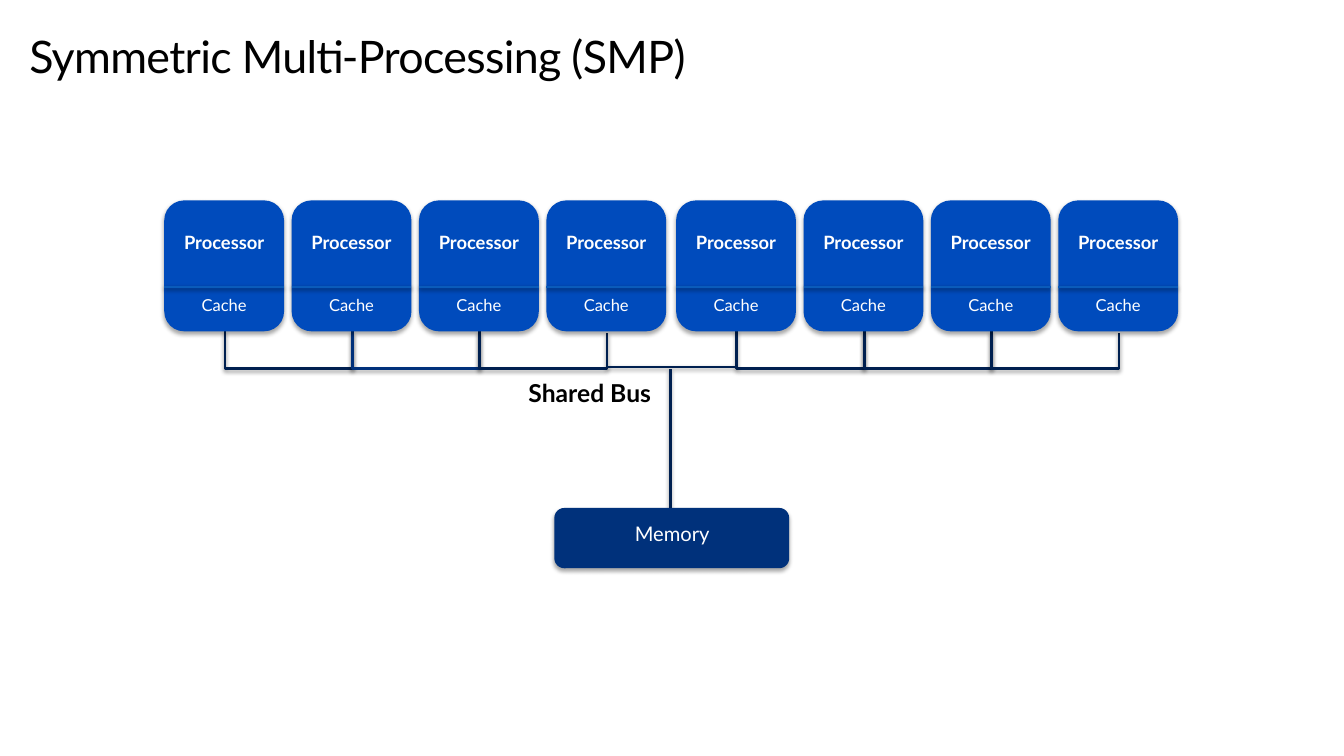
from dataclasses import dataclass

from lxml import etree
from pptx import Presentation
from pptx import util as u
from pptx.dml.color import RGBColor
from pptx.enum import shapes, text
from pptx.oxml import ns


@dataclass(frozen=True)
class Theme:
    """Colours, type sizes and shadow strengths of the slide."""
    font: str = "Lato"
    ink: str = "000000"
    light: str = "FFFFFF"
    core: str = "004BBC"
    divider: str = "0A5BBA"
    bus: str = "002050"
    bus_accent: str = "00317B"
    memory: str = "00317B"
    title_size: float = 32
    bus_size: float = 17.6
    memory_size: float = 14.4
    processor_size: float = 13.1
    cache_size: float = 11.8
    block_shadow: tuple = (35, 3.1, 1.8)
    line_shadow: tuple = (38, 3.1, 1.6)


class Diagram:
    """Draws styled elements on the current slide, with lengths in centimetres."""

    def __init__(self, slide, theme):
        self.slide = slide
        self.theme = theme

    def shadow(self, element, strength):
        """Give an element a soft shadow straight below it."""
        opacity, blur, distance = strength
        properties = element._element.spPr
        effects = properties.find(ns.qn("a:effectLst"))
        if effects is None:
            effects = etree.SubElement(properties, ns.qn("a:effectLst"))
        outer = etree.SubElement(effects, ns.qn("a:outerShdw"), {
            "blurRad": str(u.Pt(blur)), "dist": str(u.Pt(distance)),
            "dir": "5400000", "rotWithShape": "0"})
        colour = etree.SubElement(outer, ns.qn("a:srgbClr"), val=self.theme.ink)
        etree.SubElement(colour, ns.qn("a:alpha"), val=str(opacity * 1000))

    def block(self, left, top, width, height, fill):
        """Add a rounded block without an outline."""
        block = self.slide.shapes.add_shape(
            shapes.MSO_SHAPE.ROUNDED_RECTANGLE, *map(u.Cm, (left, top, width, height)))
        block.shadow.inherit = False
        block.fill.solid()
        block.fill.fore_color.rgb = RGBColor.from_string(fill)
        block.line.fill.background()
        self.shadow(block, self.theme.block_shadow)

    def line(self, start, end, colour, weight=2, kind=shapes.MSO_CONNECTOR.STRAIGHT):
        """Add a connector between two points."""
        line = self.slide.shapes.add_connector(kind, *map(u.Cm, (*start, *end)))
        line.line.color.rgb = RGBColor.from_string(colour)
        line.line.width = u.Pt(weight)
        self.shadow(line, self.theme.line_shadow)
        return line

    def bracket(self, left, right, top, drop, colour):
        """Add an elbow connector that hangs below two points like a U."""
        middle, half, rise = (left + right) / 2, (right - left) / 2, 0.05
        centre = top + rise / 2
        bracket = self.line((middle + rise / 2, centre - half),
                            (middle - rise / 2, centre + half),
                            colour, kind=shapes.MSO_CONNECTOR.ELBOW)
        properties = bracket._element.spPr
        properties.find(ns.qn("a:xfrm")).set("rot", str(270 * 60000))
        guides = properties.find(ns.qn("a:prstGeom")).get_or_add_avLst()
        etree.SubElement(guides, ns.qn("a:gd"), name="adj1",
                         fmla=f"val {round(drop / rise * 100000)}")

    def label(self, words, left, top, width, height, size, colour, bold=False,
              insets=(0.25, 0.13), align=text.PP_ALIGN.CENTER):
        """Add a one-line text box and return its paragraph."""
        frame = self.slide.shapes.add_textbox(
            *map(u.Cm, (left, top, width, height))).text_frame
        side, edge = map(u.Cm, insets)
        frame_format = {"word_wrap": True, "margin_left": side, "margin_right": side,
                        "margin_top": edge, "margin_bottom": edge,
                        "auto_size": text.MSO_AUTO_SIZE.SHAPE_TO_FIT_TEXT}
        for name, value in frame_format.items():
            setattr(frame, name, value)
        paragraph = frame.paragraphs[0]
        paragraph.alignment = align
        run = paragraph.add_run()
        run.text = words
        font_format = {"name": self.theme.font, "size": u.Pt(size), "bold": bold}
        for name, value in font_format.items():
            setattr(run.font, name, value)
        run.font.color.rgb = RGBColor.from_string(colour)
        return paragraph

    def title(self, words):
        """Add the slide title with tight spacing."""
        title = self.label(words, 0.74, 0.81, 32.39, 1.27, self.theme.title_size,
                           self.theme.ink, insets=(0, 0), align=text.PP_ALIGN.LEFT)
        title.line_spacing = u.Pt(36.2)
        title.runs[0]._r.get_or_add_rPr().set("spc", "-50")

    def processor(self, left):
        """Add a processor with its cache."""
        theme, width = self.theme, 3.02
        self.block(left, 5.05, width, 3.3, theme.core)
        self.line((left, 7.23), (left + width, 7.23), theme.divider)
        self.label("Processor", left, 5.7, width, 0.81, theme.processor_size,
                   theme.light, bold=True, insets=(0.18, 0.13))
        self.label("Cache", left + 0.33, 7.31, 2.36, 0.76, theme.cache_size,
                   theme.light, insets=(0.18, 0.13))


def main():
    """Build the slide and save it."""
    deck = Presentation()
    deck.slide_width, deck.slide_height = u.Cm(33.87), u.Cm(19.05)
    theme = Theme()
    diagram = Diagram(deck.slides.add_slide(deck.slide_layouts[6]), theme)
    diagram.title("Symmetric Multi-Processing (SMP)")

    pitch, tap, bus_top, drop = 3.21, 1.53, 8.34, 0.95
    left_bank, right_bank = 4.14, 17.04
    banks = {left_bank: (theme.bus, theme.bus_accent, theme.bus),
             right_bank: (theme.bus,) * 3}
    for bank, colours in banks.items():
        for i, colour in enumerate(colours):
            start = bank + tap + i * pitch
            diagram.bracket(start, start + pitch, bus_top, drop, colour)
        for i in range(len(colours) + 1):
            diagram.processor(bank + i * pitch)

    diagram.line((left_bank + tap + 3 * pitch, 9.25), (right_bank + tap, 9.25),
                 theme.bus, weight=1.5)
    diagram.line((16.89, 9.3), (16.89, 13.46), theme.bus)
    diagram.block(13.97, 12.8, 5.92, 1.52, theme.memory)
    diagram.label("Memory", 14.17, 13, 5.54, 0.86, theme.memory_size, theme.light)
    diagram.label("Shared Bus", 10.8, 9.4, 8.13, 1.02, theme.bus_size, theme.ink, bold=True)
    deck.save("out.pptx")


if __name__ == "__main__":
    main()
